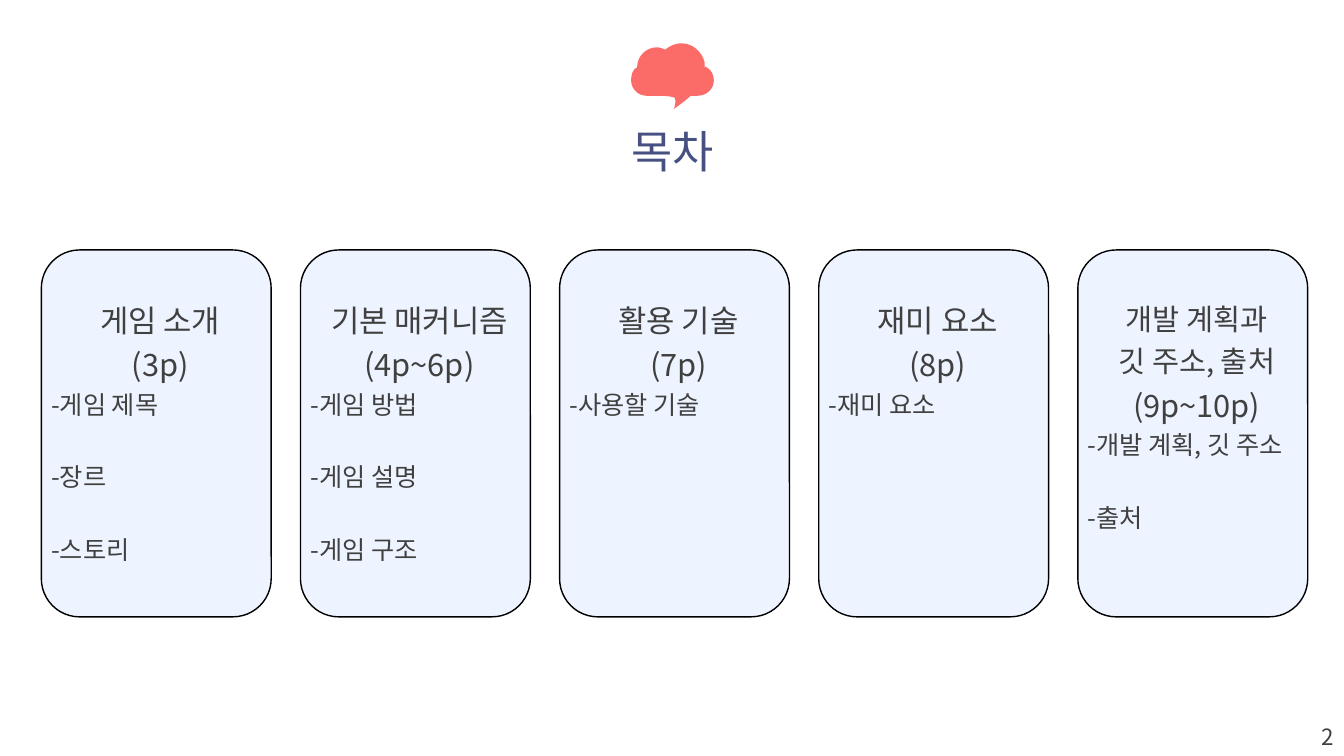
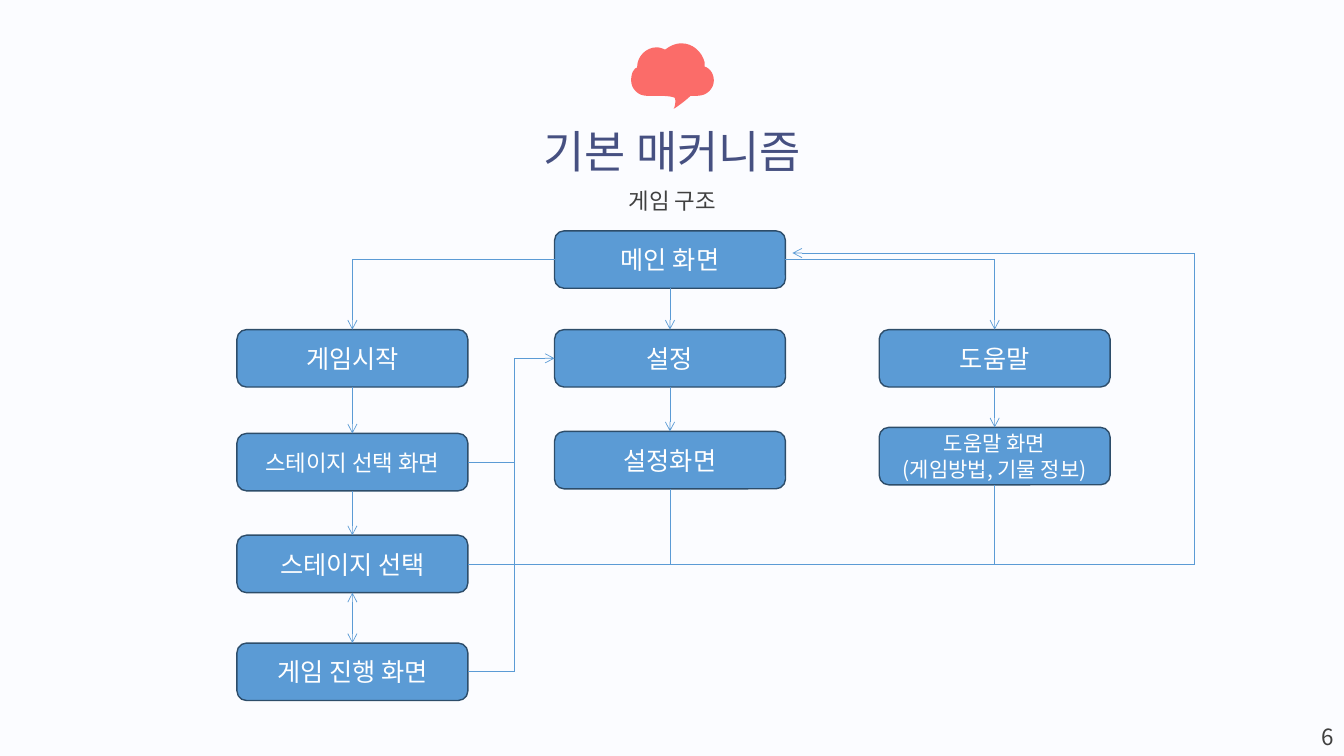
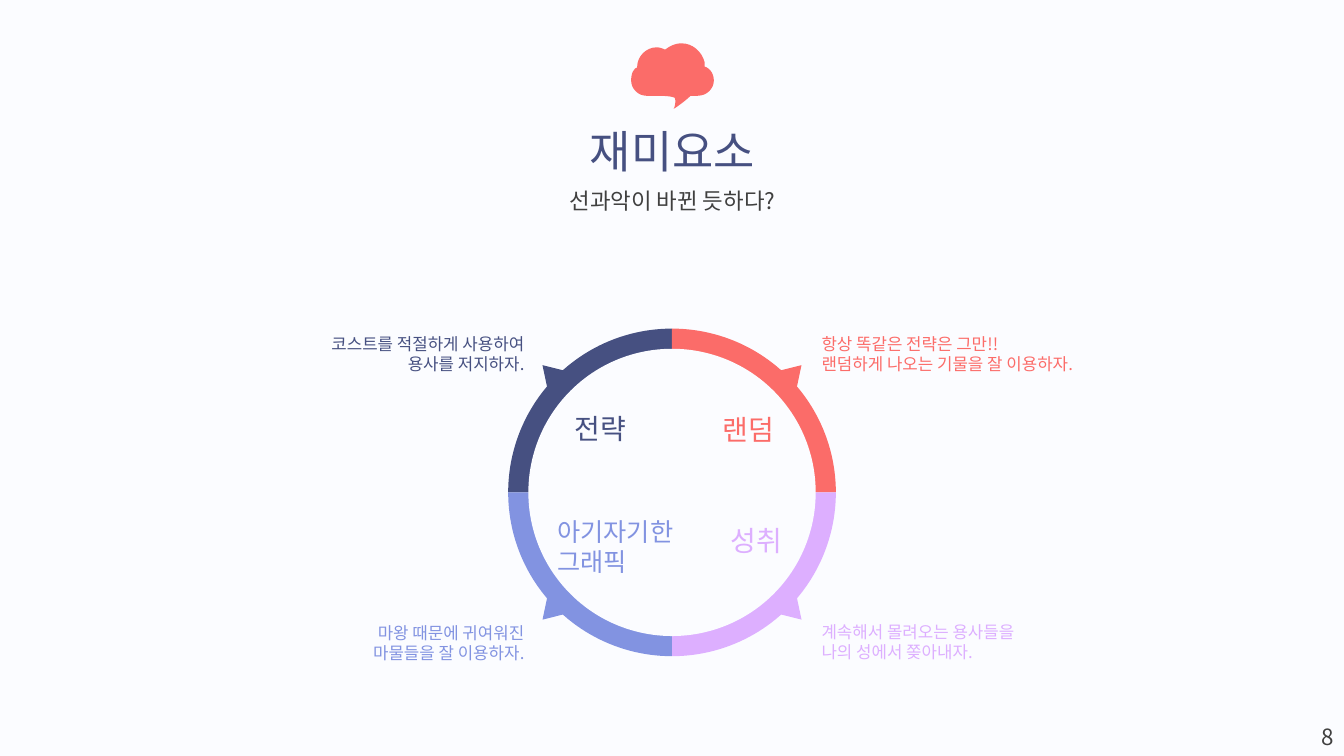
from itertools import pairwise

from lxml.etree import SubElement
from pptx import Presentation
from pptx.dml.color import RGBColor
from pptx.enum.shapes import MSO_CONNECTOR, MSO_SHAPE as SHAPE
from pptx.enum.text import MSO_ANCHOR as ANCHOR, PP_ALIGN as ALIGN
from pptx.oxml.ns import qn
from pptx.util import Inches, Pt

FONT = "Noto Sans CJK KR"
NAVY, CORAL, PERIWINKLE, LILAC = "465081", "FB6C69", "8293E1", "DDAFFF"
GREY, WHITE, PALE, CARD, BLACK = "404040", "FFFFFF", "FBFCFF", "E6EFFF", "000000"
BLUE, DARK_BLUE = "5B9BD5", "2D4D6A"
SLIDE_W, SLIDE_H = 13.33, 7.5

# Outlines: a start point, then points (2 numbers) or Bezier curves (6 numbers)
CLOUD = [
    (6.76, 0.43), (6.87, 0.43, 6.96, 0.51, 6.99, 0.62), (6.99, 0.66), (7.01, 0.67),
    (7.05, 0.69, 7.08, 0.74, 7.08, 0.8), (7.08, 0.88, 7.01, 0.95, 6.92, 0.95),
    (6.41, 0.95), (6.33, 0.95, 6.26, 0.88, 6.26, 0.8),
    (6.26, 0.75, 6.27, 0.71, 6.3, 0.68), (6.32, 0.67), (6.32, 0.66),
    (6.32, 0.56, 6.41, 0.47, 6.51, 0.47), (6.54, 0.47, 6.57, 0.48, 6.59, 0.49),
    (6.6, 0.49), (6.63, 0.47), (6.66, 0.45, 6.71, 0.43, 6.76, 0.43),
]
CLOUD_TAIL = [
    (6.52, 0.95), (6.52, 0.95, 6.66, 0.95, 6.69, 0.97),
    (6.71, 0.99, 6.69, 1.08, 6.68, 1.08), (6.69, 1.08, 6.9, 0.93, 6.87, 0.91),
    (6.84, 0.88, 6.52, 0.95, 6.52, 0.95),
]

# Contents cards: heading lines with sizes, then items
CONTENTS = [
    ([("게임 소개", 22), ("(3p)", 22)], ["게임 제목", "장르", "스토리"]),
    ([("기본 매커니즘", 22), ("(4p~6p)", 22)], ["게임 방법", "게임 설명", "게임 구조"]),
    ([("활용 기술", 22), ("(7p)", 22)], ["사용할 기술"]),
    ([("재미 요소", 22), ("(8p)", 22)], ["재미 요소"]),
    ([("개발 계획과", 21), ("깃 주소, 출처", 21), ("(9p~10p)", 22)],
     ["개발 계획, 깃 주소", "출처"]),
]
CARD_LEFT, CARD_TOP, CARD_W, CARD_H, CARD_PITCH = 0.41, 2.48, 2.28, 3.64, 2.57

# Screens: left, top, text size, lines
NODE_W, NODE_H = 2.29, 0.57
START_X, SETTINGS_X, HELP_X = 2.35, 5.5, 8.72
SCREENS = {
    "main": (SETTINGS_X, 2.29, 18, ["메인 화면"]),
    "start": (START_X, 3.27, 18, ["게임시작"]),
    "settings": (SETTINGS_X, 3.27, 18, ["설정"]),
    "help": (HELP_X, 3.27, 18, ["도움말"]),
    "settings screen": (SETTINGS_X, 4.28, 18, ["설정화면"]),
    "help screen": (HELP_X, 4.24, 15, ["도움말 화면", "(게임방법, 기물 정보)"]),
    "stage list": (START_X, 4.3, 16, ["스테이지 선택 화면"]),
    "stage": (START_X, 5.31, 18, ["스테이지 선택"]),
    "play": (START_X, 6.38, 18, ["게임 진행 화면"]),
}
STEPS = [
    ("main", "settings"), ("settings", "settings screen"), ("help", "help screen"),
    ("start", "stage list"), ("stage list", "stage"), ("stage", "play"),
]

# Quarters clockwise from top left: colour, label lines, size, label box,
# caption lines, caption top
QUARTERS = [
    (NAVY, ["전략"], 20, (5.6, 4.03, 0.9, 0.44),
     ["코스트를 적절하게 사용하여", "용사를 저지하자."], 3.26),
    (CORAL, ["랜덤"], 20, (6.88, 4.04, 0.9, 0.44),
     ["항상 똑같은 전략은 그만!!", "랜덤하게 나오는 기물을 잘 이용하자."], 3.26),
    (LILAC, ["성취"], 20, (6.85, 5.14, 1.01, 0.44),
     ["계속해서 몰려오는 용사들을", "나의 성에서 쫒아내자."], 6.12),
    (PERIWINKLE, ["아기자기한", "그래픽"], 18, (5.43, 5.07, 1.49, 0.7),
     ["마왕 때문에 귀여워진", "마물들을 잘 이용하자."], 6.13),
]
RING_X, RING_Y, RING_D, RING_HOLE = 6.665, 4.885, 3.25, 2.85
POINTER_W, POINTER_H, POINTER_OFFSET = 0.25, 0.2, (1.215, 1.19)


def rgb(value):
    return RGBColor.from_string(value)


def box(left, top, width, height):
    return [Inches(v) for v in (left, top, width, height)]


def style(paragraph, size, color, align=ALIGN.LEFT):
    paragraph.alignment = align
    font = paragraph.font
    font.size, font.name = Pt(size), FONT
    font.color.rgb = rgb(color)
    properties = paragraph._p.pPr.find(qn("a:defRPr"))
    SubElement(properties, qn("a:ea")).set("typeface", FONT)


def write(frame, lines, size, color, align=ALIGN.LEFT):
    frame.word_wrap = True
    for i, line in enumerate(lines):
        paragraph = frame.add_paragraph() if i else frame.paragraphs[0]
        paragraph.text = line
        style(paragraph, size, color, align)


def add_text(slide, place, lines, size, color, align=ALIGN.LEFT):
    frame = slide.shapes.add_textbox(*box(*place)).text_frame
    write(frame, lines, size, color, align)
    return frame


def paint(shape, fill, line=None):
    shape.shadow.inherit = False
    shape.fill.solid()
    shape.fill.fore_color.rgb = rgb(fill)
    if line:
        shape.line.color.rgb = rgb(line)
        shape.line.width = Pt(1)
    else:
        shape.line.fill.background()


def add_shape(slide, kind, place, fill, line=None):
    shape = slide.shapes.add_shape(kind, *box(*place))
    paint(shape, fill, line)
    return shape


def add_outline(slide, outline, fill, steps=8):
    """Draw an outline, with its Bezier curves cut into short lines."""
    x, y = outline[0]
    points = []
    for part in outline[1:]:
        if len(part) == 6:
            x1, y1, x2, y2, x3, y3 = part
            for t in (i / steps for i in range(1, steps + 1)):
                u = 1 - t
                a, b, c, d = u**3, 3 * u * u * t, 3 * u * t * t, t**3
                points.append((a * x + b * x1 + c * x2 + d * x3,
                               a * y + b * y1 + c * y2 + d * y3))
        else:
            points.append(part)
        x, y = part[-2:]
    builder = slide.shapes.build_freeform(*map(Inches, outline[0]))
    builder.add_line_segments([(Inches(px), Inches(py)) for px, py in points])
    paint(builder.convert_to_shape(), fill)


def add_line(slide, start, end, arrows=()):
    """Arrows may hold headEnd and tailEnd, in that order."""
    line = slide.shapes.add_connector(
        MSO_CONNECTOR.STRAIGHT, *map(Inches, (*start, *end)))
    line.line.color.rgb = rgb(BLUE)
    line.line.width = Pt(0.5)
    for arrow in arrows:
        SubElement(line.line._get_or_add_ln(), qn(f"a:{arrow}")).set("type", "arrow")
    SubElement(line._element.spPr, qn("a:effectLst"))
    return line


def add_route(slide, points, arrow=True):
    legs = list(pairwise(points))
    for i, (start, end) in enumerate(legs):
        last = i == len(legs) - 1
        add_line(slide, start, end, ["tailEnd"] if arrow and last else [])


def add_slide(prs, title, page, subtitle=None, background=PALE):
    slide = prs.slides.add_slide(prs.slide_layouts[5])
    slide.background.fill.solid()
    slide.background.fill.fore_color.rgb = rgb(background)
    heading = slide.shapes.title
    heading.left, heading.top, heading.width, heading.height = box(1.67, 1.18, 10, 0.63)
    heading.text_frame.vertical_anchor = ANCHOR.MIDDLE
    write(heading.text_frame, [title], 32, NAVY, ALIGN.CENTER)
    for outline in (CLOUD, CLOUD_TAIL):
        add_outline(slide, outline, CORAL)
    if subtitle:
        add_text(slide, (1.67, 1.81, 10, 0.37), [subtitle], 16, GREY, ALIGN.CENTER)
    add_text(slide, (SLIDE_W - 1, 7.13, 1, 0.37), [str(page)], 16, GREY, ALIGN.RIGHT)
    return slide


def contents_slide(prs):
    slide = add_slide(prs, "목차", 2, background=WHITE)
    for i, (heading, items) in enumerate(CONTENTS):
        left = CARD_LEFT + i * CARD_PITCH
        card = add_shape(slide, SHAPE.ROUNDED_RECTANGLE,
                         (left, CARD_TOP, CARD_W, CARD_H), CARD, BLACK)
        fill_color = card._element.spPr.find(qn("a:solidFill"))[0]
        SubElement(fill_color, qn("a:alpha")).set("val", "70000")
        frame = add_text(slide, (left, 2.87, 2.36, 2.78),
                         [text for text, _ in heading] + [f"-{item}" for item in items],
                         18, GREY)
        for paragraph in frame.paragraphs:
            paragraph.line_spacing = 1.2
        for paragraph, (_, size) in zip(frame.paragraphs, heading):
            paragraph.font.size = Pt(size)
            paragraph.alignment = ALIGN.CENTER
        for paragraph in frame.paragraphs[len(heading) + 1:]:
            paragraph.space_before = Pt(26)


def structure_slide(prs):
    slide = add_slide(prs, "기본 매커니즘", 6, "게임 구조")
    nodes = {}
    for name, (left, top, size, lines) in SCREENS.items():
        node = add_shape(slide, SHAPE.ROUNDED_RECTANGLE,
                         (left, top, NODE_W, NODE_H), BLUE, DARK_BLUE)
        node.text_frame.vertical_anchor = ANCHOR.MIDDLE
        write(node.text_frame, lines, size, WHITE, ALIGN.CENTER)
        nodes[name] = node

    def at(name, across, down):
        """A point of a screen, as fractions of its width and height."""
        left, top = SCREENS[name][:2]
        return left + across * NODE_W, top + down * NODE_H

    for upper, lower in STEPS:
        both_ways = (upper, lower) == ("stage", "play")
        arrows = ["headEnd", "tailEnd"] if both_ways else ["tailEnd"]
        step = add_line(slide, at(upper, 0.5, 1), at(lower, 0.5, 0), arrows)
        step.begin_connect(nodes[upper], 2)
        step.end_connect(nodes[lower], 0)

    for side, target in ((0, "start"), (1, "help")):
        origin, goal = at("main", side, 0.5), at(target, 0.5, 0)
        add_route(slide, [origin, (goal[0], origin[1]), goal])

    settings_lane, return_lane, return_y = 5.1, 11.85, 2.51
    play, stage_list = at("play", 1, 0.5), at("stage list", 1, 0.5)
    stage, settings = at("stage", 1, 0.5), at("settings", 0, 0.5)
    add_route(slide, [play, (settings_lane, play[1]),
                      (settings_lane, settings[1]), settings])
    add_route(slide, [stage_list, (settings_lane, stage_list[1])], arrow=False)
    add_route(slide, [stage, (return_lane, stage[1]),
                      (return_lane, return_y), (7.86, return_y)])
    for name in ("settings screen", "help screen"):
        bottom = at(name, 0.5, 1)
        add_route(slide, [bottom, (bottom[0], stage[1])], arrow=False)


def fun_slide(prs):
    slide = add_slide(prs, "재미요소", 8, "선과악이 바뀐 듯하다?")

    def centred(x, y, width, height):
        return x - width / 2, y - height / 2, width, height

    for i, (color, *_) in enumerate(QUARTERS):
        quarter = add_shape(slide, SHAPE.PIE,
                            centred(RING_X, RING_Y, RING_D, RING_D), color)
        for j in (0, 1):
            degrees = (180 + 90 * (i + j)) % 360
            quarter.adjustments[j] = degrees * 0.6
    add_shape(slide, SHAPE.OVAL, centred(RING_X, RING_Y, RING_HOLE, RING_HOLE), PALE)

    for i, (color, label, size, place, caption, caption_top) in enumerate(QUARTERS):
        on_right, at_bottom = i in (1, 2), i in (2, 3)
        dx, dy = POINTER_OFFSET
        x = RING_X + (dx if on_right else -dx)
        y = RING_Y + (dy if at_bottom else -dy)
        pointer = add_shape(slide, SHAPE.ISOSCELES_TRIANGLE,
                            centred(x, y, POINTER_W, POINTER_H), color)
        pointer.rotation = (316, 44, 136, 224)[i]
        add_text(slide, place, label, size, color,
                 ALIGN.RIGHT if on_right else ALIGN.LEFT)
        add_text(slide, (8.05 if on_right else 2.3, caption_top, 3, 0.49), caption,
                 12, color, ALIGN.LEFT if on_right else ALIGN.RIGHT)


def main():
    prs = Presentation()
    prs.slide_width, prs.slide_height = Inches(SLIDE_W), Inches(SLIDE_H)
    contents_slide(prs)
    structure_slide(prs)
    fun_slide(prs)
    prs.save("out.pptx")


if __name__ == "__main__":
    main()
